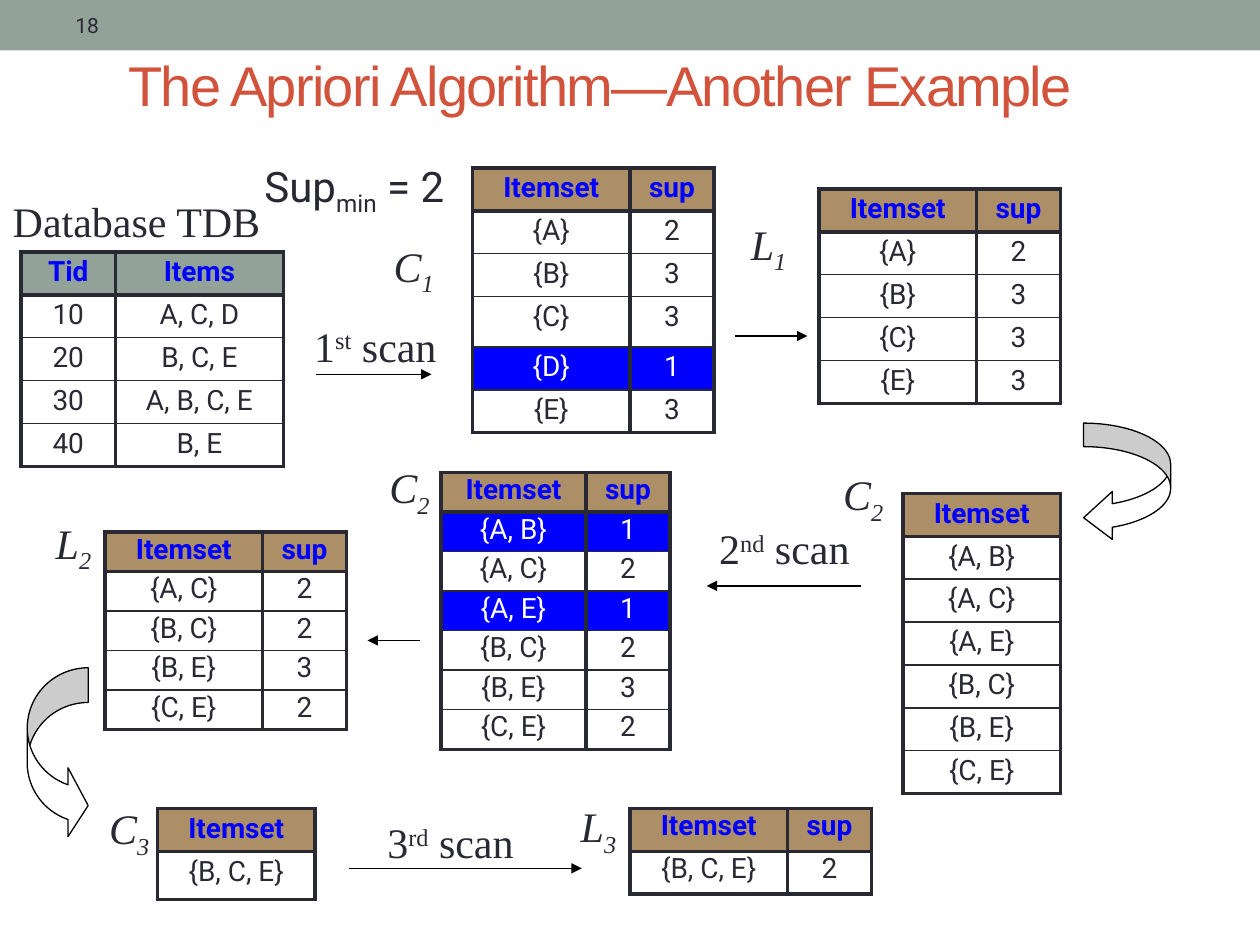
from pptx import Presentation, util as u
from pptx.dml.color import RGBColor
from pptx.enum import shapes, text
from pptx.oxml import parse_xml
from pptx.oxml.ns import nsdecls, qn

COLORS = {"ink": "292934", "title": "D2533C", "sage": "93A299", "tan": "AD8F67",
          "blue": "0000FF", "white": "FFFFFF", "black": "000000"}
SERIF, SANS = "Times New Roman", "Roboto"
COLUMNS, ROWS = 120, 90  # grid of square cells, twelve to the inch
SUB, SUP = -25000, 30000
ITEM, COUNT = 15, 8  # usual table column widths
NORMAL, TIGHT = (4.08, 0.9), (3.76, 0.8)  # row height, line spacing


class Slide:
    def __init__(self, deck):
        self.page = deck.slides.add_slide(deck.slide_layouts[5])
        self.cell_w = deck.slide_width / COLUMNS
        self.cell_h = deck.slide_height / ROWS

    def x(self, columns):
        return u.Emu(round(columns * self.cell_w))

    def y(self, rows):
        return u.Emu(round(rows * self.cell_h))

    def area(self, left, top, width, height):
        return self.x(left), self.y(top), self.x(width), self.y(height)

    def color(self, name):
        return RGBColor.from_string(COLORS[name])

    def style(self, span, size, font=SANS, color="ink", bold=False, italic=False):
        span.font.size, span.font.name = u.Pt(size), font
        span.font.bold, span.font.italic = bold, italic
        span.font.color.rgb = self.color(color)

    def title(self, wording, at):
        box = self.page.shapes.title
        box.left, box.top, box.width, box.height = self.area(*at)
        frame = box.text_frame
        frame.text = wording
        frame.vertical_anchor = text.MSO_ANCHOR.MIDDLE
        frame.auto_size = text.MSO_AUTO_SIZE.NONE
        para = frame.paragraphs[0]
        para.alignment = text.PP_ALIGN.LEFT
        self.style(para.runs[0], 32, "Arial", "title")
        para.runs[0]._r.get_or_add_rPr().set("spc", "-100")

    def label(self, parts, at, size=24, font=SERIF, italic=False, centered=True):
        """Write (wording, baseline shift) parts on one line."""
        frame = self.page.shapes.add_textbox(*self.area(*at)).text_frame
        frame.word_wrap = not centered
        frame.vertical_anchor = text.MSO_ANCHOR.MIDDLE
        para = frame.paragraphs[0]
        para.alignment = text.PP_ALIGN.CENTER if centered else text.PP_ALIGN.LEFT
        for wording, shift in parts:
            span = para.add_run()
            span.text = wording
            self.style(span, size, font, italic=italic)
            if shift:
                span._r.get_or_add_rPr().set("baseline", str(shift))

    def shape(self, kind, at, fill, line=None, adjustments=()):
        box = self.page.shapes.add_shape(kind, *self.area(*at))
        box.shadow.inherit = False
        box.fill.solid()
        box.fill.fore_color.rgb = self.color(fill)
        if line:
            box.line.color.rgb, box.line.width = self.color(line), u.Pt(0.75)
        else:
            box.line.fill.background()
        for index, value in enumerate(adjustments):
            box.adjustments[index] = value

    def arrow(self, start, end, row):
        line = self.page.shapes.add_connector(
            shapes.MSO_CONNECTOR.STRAIGHT, self.x(start), self.y(row), self.x(end), self.y(row))
        line.line.color.rgb, line.line.width = self.color("black"), u.Pt(0.75)
        line.line._get_or_add_ln().append(
            parse_xml(f'<a:tailEnd {nsdecls("a")} type="triangle"/>'))
        line._element.spPr.append(parse_xml(f'<a:effectLst {nsdecls("a")}/>'))

    def border(self, cell, top, bottom):
        properties = cell._tc.get_or_add_tcPr()
        for side, width in (("L", 2.25), ("R", 2.25), ("T", top), ("B", bottom)):
            properties.append(parse_xml(
                f'<a:ln{side} {nsdecls("a")} w="{u.Pt(width)}"><a:solidFill>'
                f'<a:srgbClr val="{COLORS["ink"]}"/></a:solidFill></a:ln{side}>'))

    def table(self, left, top, widths, rows, density=NORMAL, head="tan", pruned=(), tall=None):
        """Draw a header and its rows; pruned rows are blue, tall is (row, height)."""
        height, spacing = density
        heights = [height] * len(rows)
        if tall:
            heights[tall[0]] = tall[1]
        grid = self.page.shapes.add_table(
            len(rows), len(widths), *self.area(left, top, sum(widths), sum(heights))).table
        grid.first_row = grid.horz_banding = False
        for column, width in zip(grid.columns, widths):
            column.width = self.x(width)
        for r, values in enumerate(rows):
            grid.rows[r].height = self.y(heights[r])
            fill = head if r == 0 else "blue" if r in pruned else None
            ink = "blue" if r == 0 else "white" if r in pruned else "ink"
            for c, value in enumerate(values):
                cell = grid.cell(r, c)
                self.border(cell, 2.25 if r < 2 else 1,
                            2.25 if r in (0, len(rows) - 1) else 1)
                if fill:
                    cell.fill.solid()
                    cell.fill.fore_color.rgb = self.color(fill)
                else:
                    cell.fill.background()
                cell.text_frame.text = value
                para = cell.text_frame.paragraphs[0]
                para.alignment, para.line_spacing = text.PP_ALIGN.CENTER, spacing
                self.style(para.runs[0], 16, color=ink, bold=r == 0)


def main():
    deck = Presentation()
    deck.slide_width, deck.slide_height = u.Inches(10), u.Inches(7.5)
    slide = Slide(deck)

    # Top band, page number and title
    slide.shape(shapes.MSO_SHAPE.RECTANGLE, (0, 0, COLUMNS, 4.8), "sage")
    slide.label([("18", 0)], (6, 0.24, 38, 4.32), 12, SANS, centered=False)
    slide.title("The Apriori Algorithm—Another Example", (11, 4, 102.2, 8))

    # Captions
    slide.label([("Database TDB", 0)], (0, 18, 26, 6))
    slide.label([("Sup", 0), ("min", SUB), (" = 2", 0)], (24, 15, 23, 6),
                font=SANS, centered=False)
    for letter, number, left, top in (
            ("C", "1", 36.2, 22.6), ("L", "1", 70.2, 20.5), ("L", "2", 4, 49),
            ("C", "2", 35.8, 43.7), ("C", "2", 79, 44.4),
            ("C", "3", 9.1, 76.2), ("L", "3", 54, 76)):
        slide.label([(letter, 0), (number, SUB)],
                    (left, top, 6.4 if letter == "C" else 6, 6), italic=True)

    # Scans: caption and arrow
    for number, ending, left, top, width in (
            ("1", "st", 28.6, 29.9, 14.3), ("2", "nd", 67.1, 49.2, 15.2),
            ("3", "rd", 35.5, 77.2, 14.8)):
        slide.label([(number, 0), (ending, SUP), (" scan", 0)], (left, top, width, 6))
    for start, end, row in ((30.1, 41.1, 35.65), (82, 67.3, 55.8), (33.2, 55.4, 82.7),
                            (70, 76.9, 32), (40, 35, 61)):
        slide.arrow(start, end, row)

    # Curved arrows to the next round
    slide.shape(shapes.MSO_SHAPE.CURVED_LEFT_ARROW, (103.2, 40.3, 8.3, 11.3),
                "white", "black", (0.27, 0.55, 0.33))
    slide.shape(shapes.MSO_SHAPE.CURVED_RIGHT_ARROW, (2.6, 63.6, 5.8, 16.4),
                "white", "black", (0.57, 1.13, 0.33))

    # Database and itemset tables
    both = ("Itemset", "sup")
    pair = (ITEM, COUNT)
    slide.table(2, 24, (9, 16), [("Tid", "Items"), ("10", "A, C, D"), ("20", "B, C, E"),
                                 ("30", "A, B, C, E"), ("40", "B, E")], head="sage")
    slide.table(45, 16, pair, [both, ("{A}", "2"), ("{B}", "3"), ("{C}", "3"),
                               ("{D}", "1"), ("{E}", "3")], pruned=(4,), tall=(3, 4.8))
    slide.table(78, 18, pair, [both, ("{A}", "2"), ("{B}", "3"), ("{C}", "3"), ("{E}", "3")])
    counts = [("{A, B}", "1"), ("{A, C}", "2"), ("{A, E}", "1"),
              ("{B, C}", "2"), ("{B, E}", "3"), ("{C, E}", "2")]
    slide.table(86, 47, (ITEM,), [("Itemset",)] + [(items,) for items, _ in counts])
    slide.table(42, 45, (13.8, COUNT), [both] + counts, TIGHT, pruned=(1, 3))
    slide.table(10, 50.67, pair, [both] + [row for row in counts if row[1] != "1"], TIGHT)
    slide.table(15, 77, (ITEM,), [("Itemset",), ("{B, C, E}",)], tall=(1, 4.56))
    slide.table(60, 77, pair, [both, ("{B, C, E}", "2")], (4.08, 0.8))

    deck.save("out.pptx")


if __name__ == "__main__":
    main()
